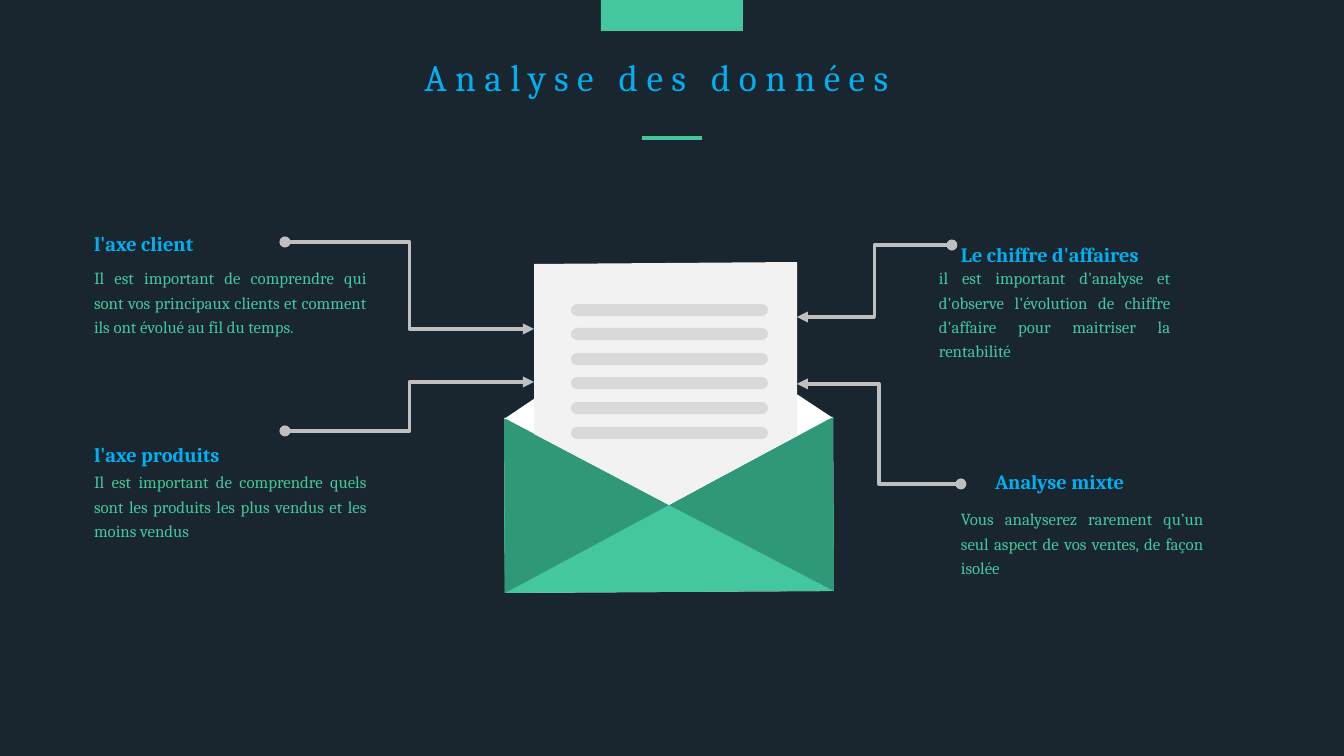
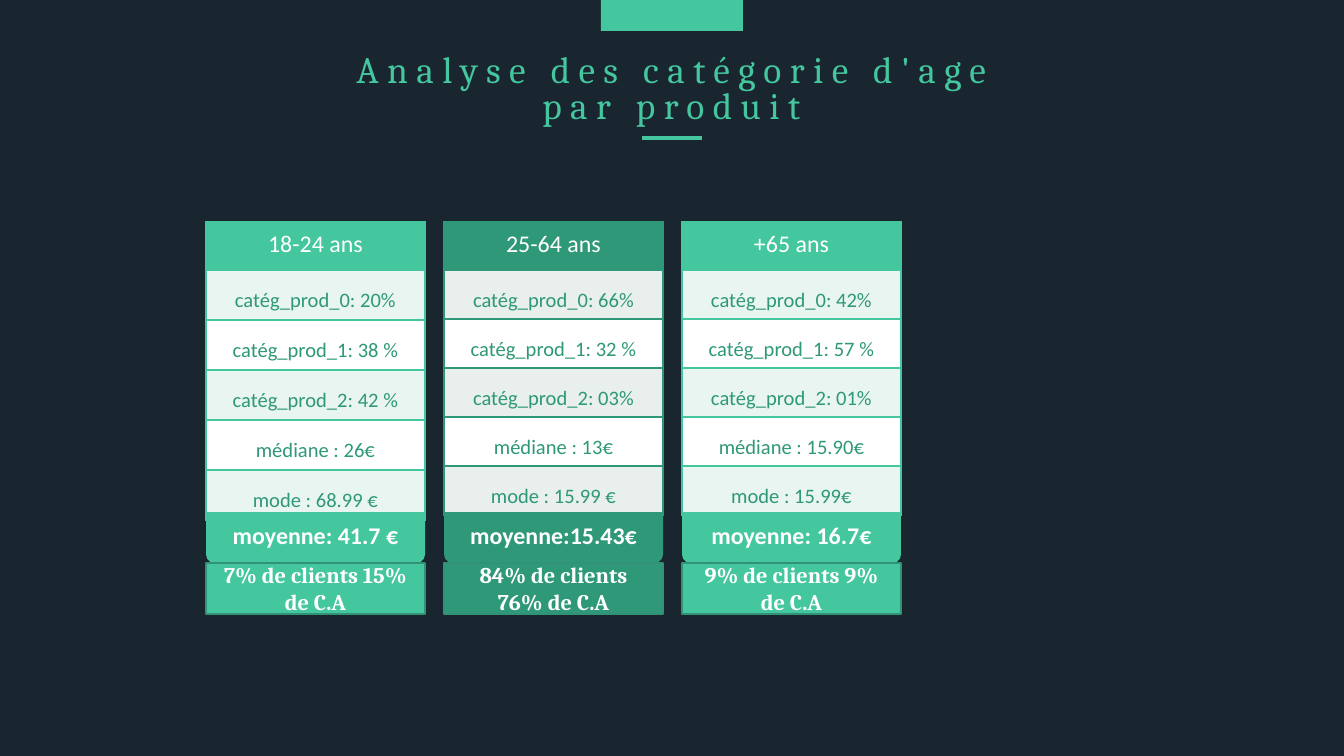
import pptx
import pptx.dml.color
import pptx.enum.shapes
import pptx.enum.text
import pptx.util
from lxml import etree
from pptx.oxml.ns import qn

PX = 6804  # EMU per px, at 134.4 px to the inch

RGBColor = pptx.dml.color.RGBColor
NIGHT = RGBColor(0x19, 0x25, 0x2F)
GREEN = RGBColor(0x44, 0xC6, 0x9E)
DARK_GREEN = RGBColor(0x2E, 0x98, 0x78)
OUTLINE_GREEN = RGBColor(0x32, 0x92, 0x75)
MINT = RGBColor(0xE9, 0xF5, 0xF0)
PALE_GREY = RGBColor(0xE8, 0xEF, 0xEC)
BLUE = RGBColor(0x00, 0xB0, 0xF0)
WHITE = RGBColor(0xFF, 0xFF, 0xFF)
PAPER = RGBColor(0xF2, 0xF2, 0xF2)
BAR_GREY = RGBColor(0xD9, 0xD9, 0xD9)
ARROW_GREY = RGBColor(0xBF, 0xBF, 0xBF)

SHAPE = pptx.enum.shapes.MSO_SHAPE
CONNECTOR = pptx.enum.shapes.MSO_CONNECTOR
ALIGN = pptx.enum.text.PP_ALIGN
Pt = pptx.util.Pt


def paint(shape, color):
    """Give a shape a flat fill without outline or shadow."""
    shape.shadow.inherit = False
    shape.fill.solid()
    shape.fill.fore_color.rgb = color
    shape.line.fill.background()


def add_text(slide, box, text, size, font_name, color, bold=False, align=ALIGN.LEFT):
    text_box = slide.shapes.add_textbox(*[length * PX for length in box])
    frame = text_box.text_frame
    frame.word_wrap = True
    frame.margin_left = frame.margin_right = 0
    frame.margin_top = frame.margin_bottom = 0
    frame.text = text
    paragraph = frame.paragraphs[0]
    paragraph.alignment = align
    font = paragraph.runs[0].font
    font.size, font.name, font.bold = Pt(size), font_name, bold
    font.color.rgb = color
    return paragraph


presentation = pptx.Presentation()
presentation.slide_width = 1344 * PX
presentation.slide_height = 756 * PX
background = presentation.slide_master.background.fill
background.solid()
background.fore_color.rgb = NIGHT
title_only = presentation.slide_layouts[5]

# Shared frame: title, top band and rule
titles = [
    ("Analyse des données", (409, 56, 495, 78), BLUE),
    ("Analyse des catégorie d'age\npar produit", (321, 48, 701, 86), GREEN),
]
slides = []
connectors = []
for text, box, color in titles:
    slide = presentation.slides.add_slide(title_only)
    slides.append(slide)
    title = slide.shapes.title
    title.left, title.top, title.width, title.height = [length * PX for length in box]
    frame = title.text_frame
    frame.text = text
    frame.word_wrap = False
    frame.auto_size = pptx.enum.text.MSO_AUTO_SIZE.NONE
    frame.vertical_anchor = pptx.enum.text.MSO_ANCHOR.TOP
    for paragraph in frame.paragraphs:
        paragraph.alignment = ALIGN.CENTER
        paragraph.line_spacing = 0.8
        run = paragraph.runs[0]
        run.font.size, run.font.name = Pt(20), "Cambria"
        run.font.color.rgb = color
        run.font._element.set("spc", "450")
    band = slide.shapes.add_shape(SHAPE.RECTANGLE, 601 * PX, 0, 142 * PX, 31 * PX)
    paint(band, GREEN)
    rule = slide.shapes.add_connector(
        CONNECTOR.STRAIGHT, 642 * PX, 138 * PX, 702 * PX, 138 * PX)
    connectors.append((rule, GREEN, 2))
analysis_slide, age_slide = slides

# Slide 1: envelope with a letter, and four callouts
envelope = analysis_slide.shapes.add_group_shape()
envelope_parts = [
    (WHITE, [(834, 591), (505, 593), (504, 418), (833, 417)]),
    (GREEN, [(834, 591), (505, 593), (504, 505), (834, 504)]),
    (DARK_GREEN, [(504, 418), (669, 505), (505, 593)]),
    (DARK_GREEN, [(833, 417), (669, 505), (834, 591)]),
    (WHITE, [(504, 419), (668, 309), (833, 418)]),
    (PAPER, [(534, 434), (534, 264), (797, 262), (797, 435), (669, 505)]),
]
for color, points in envelope_parts:
    builder = envelope.shapes.build_freeform(*points[0], scale=PX)
    builder.add_line_segments(points[1:], close=True)
    paint(builder.convert_to_shape(), color)
for row in range(6):
    top = 304 + 123 * row // 5
    bar = envelope.shapes.add_shape(
        SHAPE.ROUNDED_RECTANGLE, 571 * PX, top * PX, 197 * PX, 12 * PX)
    bar.adjustments[0] = 0.5
    paint(bar, BAR_GREY)

# heading, its box, body, its box, arrow from and to
callouts = [
    ("l'axe client", (94, 231, 150, 25),
     "Il est important de comprendre qui sont vos principaux clients et comment "
     "ils ont évolué au fil du temps.", (94, 264, 272, 74),
     (285, 242, 534, 329)),
    ("l'axe produits", (94, 442, 150, 25),
     "Il est important de comprendre quels sont les produits les plus vendus et "
     "les moins vendus", (94, 468, 272, 74),
     (285, 431, 534, 382)),
    ("Le chiffre d'affaires", (961, 242, 206, 25),
     "il est important d'analyse et d'observe l'évolution de chiffre d'affaire "
     "pour maitriser la rentabilité", (939, 264, 231, 98),
     (952, 245, 797, 317)),
    ("Analyse mixte", (995, 469, 150, 25),
     "Vous analyserez rarement qu’un seul aspect de vos ventes, de façon isolée",
     (961, 505, 242, 74),
     (961, 484, 797, 384)),
]
for heading, heading_box, body, body_box, ends in callouts:
    add_text(analysis_slide, heading_box, heading, 10.9, "Cambria", BLUE, bold=True)
    paragraph = add_text(analysis_slide, body_box, body, 9, "Cambria", GREEN,
                         align=ALIGN.JUSTIFY)
    paragraph.line_spacing = Pt(13)
    arrow = analysis_slide.shapes.add_connector(
        CONNECTOR.ELBOW, *[length * PX for length in ends])
    connectors.append((arrow, ARROW_GREY, 1.75))
    line = arrow.line._get_or_add_ln()
    arrow.line.color.rgb = ARROW_GREY
    etree.SubElement(line, qn("a:headEnd"), type="oval")
    etree.SubElement(line, qn("a:tailEnd"), type="triangle")

for connector, color, width in connectors:
    connector.line.color.rgb = color
    connector.line.width = Pt(width)
    etree.SubElement(connector._element.spPr, qn("a:effectLst"))

# Slide 2: one table per age group, with its mean and its share of sales
age_groups = [
    ("18-24 ans", GREEN, MINT, 50,
     ["catég_prod_0: 20%", "catég_prod_1: 38 %", "catég_prod_2: 42 %",
      "médiane : 26€", "mode : 68.99 €"],
     "moyenne: 41.7 €", "7% de clients 15% de C.A"),
    ("25-64 ans", DARK_GREEN, PALE_GREY, 49,
     ["catég_prod_0: 66%", "catég_prod_1: 32 %", "catég_prod_2: 03%",
      "médiane : 13€", "mode : 15.99 €"],
     "moyenne:15.43€", "84% de clients 76% de C.A"),
    ("+65 ans", GREEN, MINT, 49,
     ["catég_prod_0: 42%", "catég_prod_1: 57 %", "catég_prod_2: 01%",
      "médiane : 15.90€", "mode : 15.99€"],
     "moyenne: 16.7€", "9% de clients 9% de C.A"),
]
COLUMN_WIDTH = 219
for index, (ages, color, tint, row_height, entries, mean, share) in enumerate(age_groups):
    left = 206 + 238 * index
    table = age_slide.shapes.add_table(
        6, 1, left * PX, 222 * PX, COLUMN_WIDTH * PX, (48 + 5 * row_height) * PX).table
    for row, entry in enumerate([""] + entries):
        table.rows[row].height = (row_height if row else 48) * PX
        cell = table.cell(row, 0)
        cell.margin_left = cell.margin_right = 12 * PX
        cell.margin_top = cell.margin_bottom = (5 if row else 0) * PX
        for side in ("a:lnL", "a:lnR", "a:lnT", "a:lnB"):
            border = etree.SubElement(cell._tc.get_or_add_tcPr(), qn(side), w="12700")
            border_fill = etree.SubElement(border, qn("a:solidFill"))
            etree.SubElement(border_fill, qn("a:srgbClr"), val=str(color))
        cell.fill.solid()
        cell.fill.fore_color.rgb = color if row == 0 else tint if row % 2 else WHITE
        if entry:
            cell.text = entry
            paragraph = cell.text_frame.paragraphs[0]
            paragraph.alignment = ALIGN.CENTER
            paragraph.line_spacing = 1.5
            font = paragraph.runs[0].font
            font.size, font.name = Pt(11), "Calibri"
            font.color.rgb = DARK_GREEN

    mean_tab = age_slide.shapes.add_shape(
        SHAPE.ROUND_2_SAME_RECTANGLE, left * PX, 512 * PX, COLUMN_WIDTH * PX, 51 * PX)
    mean_tab.rotation = 180
    paint(mean_tab, color)
    add_text(age_slide, (left, 229, COLUMN_WIDTH, 30), ages, 12.8, "Calibri", WHITE,
             align=ALIGN.CENTER)
    add_text(age_slide, (left, 521, COLUMN_WIDTH, 30), mean, 12.8, "Calibri", WHITE,
             bold=True, align=ALIGN.CENTER)

    share_box = age_slide.shapes.add_shape(
        SHAPE.FLOWCHART_PROCESS, left * PX, 563 * PX, COLUMN_WIDTH * PX, 51 * PX)
    paint(share_box, color)
    share_box.line.color.rgb = OUTLINE_GREEN
    share_box.line.width = Pt(1)
    share_box.text_frame.text = share
    paragraph = share_box.text_frame.paragraphs[0]
    paragraph.alignment = ALIGN.CENTER
    font = paragraph.runs[0].font
    font.size, font.name, font.bold = Pt(12), "Cambria", True
    font.color.rgb = WHITE

presentation.save("out.pptx")
